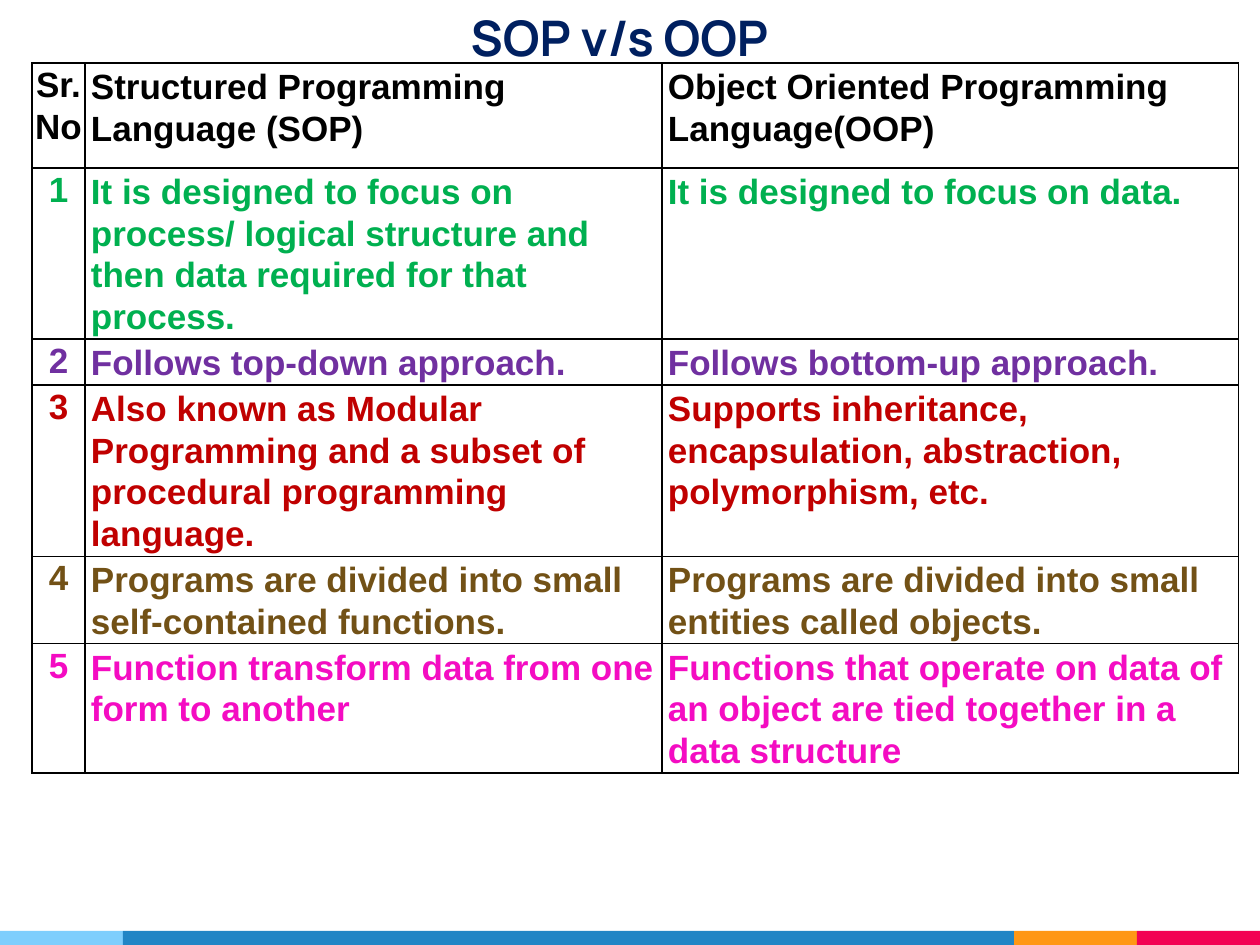
"""Build the SOP versus OOP comparison slide."""
from lxml.etree import SubElement
from pptx import Presentation
from pptx.dml.color import RGBColor
from pptx.enum.shapes import MSO_SHAPE as Shape
from pptx.enum.text import MSO_ANCHOR as Anchor, PP_ALIGN as Align
from pptx.oxml.ns import qn
from pptx.util import Pt

PX = 914400 // 126
WIDTH, HEIGHT = 1260, 945

TITLE = "SOP v/s OOP"
TITLE_BOX = (0, 15, 1239, 64)
STRIPS = [(123, "7ECEFD"), (891, "2185C5"), (123, "FF9715"), (123, "F20253")]
STRIP_HEIGHT = 14

TABLE_LEFT, TABLE_TOP = 32, 63
COLUMNS = [53, 577, 577]
ROWS = [
    (105, "000000", "Sr. No", "Structured Programming Language (SOP)",
     "Object Oriented Programming Language(OOP)"),
    (170, "00B050", "1",
     "It is designed to focus on process/ logical structure and then data required for that process.",
     "It is designed to focus on data."),
    (46, "7030A0", "2", "Follows top-down approach.", "Follows bottom-up approach."),
    (171, "C00000", "3",
     "Also known as Modular Programming and a subset of procedural programming language.",
     "Supports inheritance, encapsulation, abstraction, polymorphism, etc."),
    (87, "725116", "4",
     "Programs are divided into small self-contained functions.",
     "Programs are divided into small entities called objects."),
    (129, "F40CC2", "5", "Function transform data from one form to another",
     "Functions that operate on data of an object are tied together in a data structure"),
]

TITLE_FONT = {"name": "Manrope", "size": Pt(28), "bold": True}
CELL_FONT = {"name": "Arial", "size": Pt(20), "bold": True}
MARGINS = ("margin_left", "margin_top", "margin_right", "margin_bottom")
NUMBER_INSETS = dict.fromkeys(MARGINS, 0)
TEXT_INSETS = dict(zip(MARGINS, (6 * PX, 2 * PX, 6 * PX, 2 * PX)))


def rgb(code):
    """Turn a hex string into a colour."""
    return RGBColor.from_string(code)


def apply(target, values):
    """Set each named attribute on the target."""
    for name, value in values.items():
        setattr(target, name, value)


def write(frame, words, font, colour, align, spacing=1.0):
    """Put one formatted paragraph in a text frame."""
    frame.text = words
    paragraph = frame.paragraphs[0]
    apply(paragraph, {"alignment": align, "line_spacing": spacing,
                      "space_before": Pt(0), "space_after": Pt(0)})
    run = paragraph.runs[0]
    apply(run.font, font)
    run.font.color.rgb = rgb(colour)


def draw_borders(cell):
    """Give a cell thin black lines on all sides."""
    properties = cell._tc.get_or_add_tcPr()
    for side in ("lnL", "lnR", "lnT", "lnB"):
        line = SubElement(properties, qn(f"a:{side}"), w=str(Pt(0.75)))
        SubElement(SubElement(line, qn("a:solidFill")), qn("a:srgbClr"), val="000000")


def add_strips(slide):
    """Lay the coloured strips along the bottom edge."""
    left = 0
    for width, colour in STRIPS:
        box = (left, HEIGHT - STRIP_HEIGHT, width, STRIP_HEIGHT)
        strip = slide.shapes.add_shape(Shape.RECTANGLE, *(n * PX for n in box))
        strip.shadow.inherit = False
        strip.fill.solid()
        strip.fill.fore_color.rgb = rgb(colour)
        strip.line.fill.background()
        left += width


def add_title(slide):
    """Move and format the title placeholder."""
    title = slide.shapes.title
    apply(title, dict(zip(("left", "top", "width", "height"), (n * PX for n in TITLE_BOX))))
    frame = title.text_frame
    apply(frame, dict.fromkeys(MARGINS, 13 * PX))
    apply(frame, {"vertical_anchor": Anchor.BOTTOM, "word_wrap": True})
    write(frame, TITLE, TITLE_FONT, "002060", Align.CENTER)


def add_comparison(slide):
    """Add the comparison table."""
    box = (TABLE_LEFT, TABLE_TOP, sum(COLUMNS), sum(row[0] for row in ROWS))
    table = slide.shapes.add_table(len(ROWS), len(COLUMNS), *(n * PX for n in box)).table
    apply(table, {"first_row": False, "horz_banding": False})
    for column, width in zip(table.columns, COLUMNS):
        column.width = width * PX
    for row, (height, colour, *texts) in zip(table.rows, ROWS):
        row.height = height * PX
        for index, (cell, words) in enumerate(zip(row.cells, texts)):
            apply(cell, TEXT_INSETS if index else NUMBER_INSETS)
            draw_borders(cell)
            cell.fill.background()
            align = Align.LEFT if index else Align.CENTER
            write(cell.text_frame, words, CELL_FONT, colour, align, 1.07)


def main():
    """Assemble and save the slide."""
    deck = Presentation()
    apply(deck, {"slide_width": WIDTH * PX, "slide_height": HEIGHT * PX})
    slide = deck.slides.add_slide(deck.slide_layouts[5])
    add_strips(slide)
    add_title(slide)
    add_comparison(slide)
    deck.save("out.pptx")


if __name__ == "__main__":
    main()
